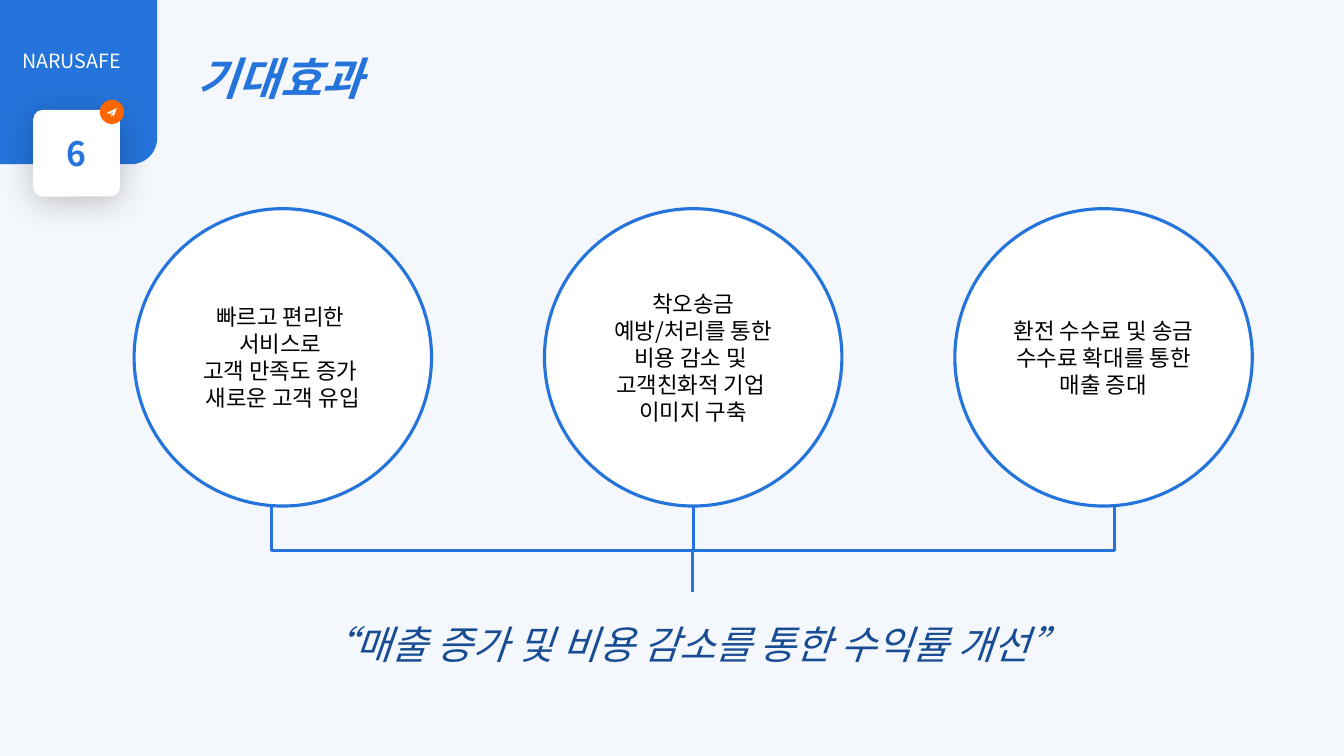
from lxml import etree
from pptx import Presentation
from pptx.dml.color import RGBColor
from pptx.enum.shapes import MSO_CONNECTOR, MSO_SHAPE
from pptx.enum.text import MSO_ANCHOR, MSO_AUTO_SIZE, PP_ALIGN
from pptx.oxml.ns import qn
from pptx.util import Inches, Pt

CENTER, LEFT = PP_ALIGN.CENTER, PP_ALIGN.LEFT
TOP, MIDDLE = MSO_ANCHOR.TOP, MSO_ANCHOR.MIDDLE
NO_FIT = MSO_AUTO_SIZE.NONE
ELLIPSE, BRACKET = MSO_SHAPE.OVAL, MSO_SHAPE.LEFT_BRACKET
ROUND_ONE, ROUNDED = MSO_SHAPE.ROUND_1_RECTANGLE, MSO_SHAPE.ROUNDED_RECTANGLE
STRAIGHT = MSO_CONNECTOR.STRAIGHT

FONT = "Noto Sans CJK KR"
COLORS = {
    "background": "F4F7FC",
    "blue": "2574DB",
    "navy": "184D94",
    "orange": "FF6600",
    "white": "FFFFFF",
    "black": "000000",
}
LINE_WIDTH = 2.25
CIRCLE_LEFT, CIRCLE_TOP, CIRCLE_SIZE, CIRCLE_STEP = 1.33, 2.07, 2.95, 4.07
EFFECTS = [
    ["빠르고 편리한 ", "서비스로 ", "고객 만족도 증가 ", "새로운 고객 유입"],
    ["착오송금 예방/처리를 통한 비용 감소 및 ", "고객친화적 기업 ", "이미지 구축"],
    ["환전 수수료 및 송금 수수료 확대를 통한 매출 증대"],
]
PLANE_WING = [(106, 112), (116, 107), (113, 115), (110, 114), (114, 109), (109, 113)]
PLANE_TAIL = [(110, 114), (111, 115), (110, 116)]


def color(name):
    return RGBColor.from_string(COLORS[name])


def paint(shape, fill=None, line=None):
    shape.shadow.inherit = False
    if fill:
        shape.fill.solid()
        shape.fill.fore_color.rgb = color(fill)
    else:
        shape.fill.background()
    if line:
        shape.line.color.rgb = color(line)
        shape.line.width = Pt(LINE_WIDTH)
    else:
        shape.line.fill.background()


def add_shape(shapes, kind, left, top, width, height, fill=None, line=None):
    shape = shapes.add_shape(kind, Inches(left), Inches(top), Inches(width), Inches(height))
    paint(shape, fill, line)
    return shape


def write(box, lines, size, ink, align=LEFT, anchor=TOP, wrap=True,
          bold=False, italic=False, spacing=None):
    frame = box.text_frame
    frame.auto_size = NO_FIT
    frame.word_wrap = wrap
    frame.vertical_anchor = anchor
    for index, line in enumerate(lines):
        para = frame.add_paragraph() if index else frame.paragraphs[0]
        para.alignment = align
        para.space_before = Pt(0)
        if spacing:
            para.line_spacing = spacing
        span = para.add_run()
        span.text = line
        font = span.font
        font.name, font.size = FONT, Pt(size)
        font.bold, font.italic = bold, italic
        font.color.rgb = color(ink)
        east_asian = etree.Element(qn("a:ea"), typeface=FONT)
        span._r.rPr.find(qn("a:latin")).addnext(east_asian)


def add_text(page, left, top, width, height, lines, size, ink, **style):
    box = page.shapes.add_textbox(Inches(left), Inches(top), Inches(width), Inches(height))
    write(box, lines, size, ink, **style)


def add_soft_shadow(shape):
    effects = shape._element.spPr.find(qn("a:effectLst"))
    shadow = etree.SubElement(
        effects, qn("a:outerShdw"), blurRad=str(Pt(25)), dist=str(Pt(3)),
        dir="5400000", algn="t", rotWithShape="0")
    tint = etree.SubElement(shadow, qn("a:srgbClr"), val=COLORS["black"])
    etree.SubElement(tint, qn("a:alpha"), val="24000")


def add_plane(page):
    builder = page.shapes.build_freeform(*PLANE_WING[0], scale=Inches(0.01))
    builder.add_line_segments(PLANE_WING[1:], close=True)
    builder.move_to(*PLANE_TAIL[0])
    builder.add_line_segments(PLANE_TAIL[1:], close=True)
    paint(builder.convert_to_shape(), "white")


def add_badge(page):
    corner = add_shape(page.shapes, ROUND_ONE, 0, 0, 1.56, 1.63, "blue")
    corner._element.spPr.find(qn("a:xfrm")).set("flipV", "1")
    tile = add_shape(page.shapes, ROUNDED, 0.33, 1.09, 0.86, 0.86, "white")
    tile.adjustments[0] = 0.11
    add_soft_shadow(tile)
    write(tile, ["6"], 24, "blue", align=CENTER, anchor=MIDDLE, wrap=False, bold=True)
    add_shape(page.shapes, ELLIPSE, 0.99, 0.99, 0.24, 0.24, "orange")
    add_plane(page)
    add_text(page, 0.12, 0.44, 1.21, 0.34, ["NARUSAFE"], 14, "white", wrap=False)


def add_title(page):
    title = page.shapes.title
    title.left, title.top = Inches(1.86), Inches(0.19)
    title.width, title.height = Inches(6.67), Inches(0.82)
    write(title, ["기대효과"], 32, "blue", bold=True, italic=True, spacing=1.5)


def add_circles(page):
    for index, lines in enumerate(EFFECTS):
        left = CIRCLE_LEFT + index * CIRCLE_STEP
        circle = add_shape(page.shapes, ELLIPSE, left, CIRCLE_TOP,
                           CIRCLE_SIZE, CIRCLE_SIZE, "white", "blue")
        write(circle, lines, 16, "black", align=CENTER, anchor=MIDDLE)


def add_joint(page):
    joint = page.shapes.add_group_shape().shapes
    for left in (4.56, 8.74):
        bracket = add_shape(joint, BRACKET, left, 3.15, 0.45, 4.18, line="blue")
        bracket.adjustments[0] = 0
        bracket.rotation = 270
    stem = joint.add_connector(STRAIGHT, Inches(6.87), Inches(5.87), Inches(6.87), Inches(5.47))
    stem.line.color.rgb = color("blue")
    stem.line.width = Pt(LINE_WIDTH)
    etree.SubElement(stem._element.spPr, qn("a:effectLst"))


def main():
    deck = Presentation()
    deck.slide_width, deck.slide_height = Inches(13.33), Inches(7.5)
    page = deck.slides.add_slide(deck.slide_layouts[5])
    page.background.fill.solid()
    page.background.fill.fore_color.rgb = color("background")
    add_badge(page)
    add_title(page)
    add_circles(page)
    add_joint(page)
    add_text(page, 2.37, 5.87, 9, 0.73, ["“매출 증가 및 비용 감소를 통한 수익률 개선”"],
             28, "navy", align=CENTER, italic=True, spacing=1.5)
    deck.save("out.pptx")


if __name__ == "__main__":
    main()
